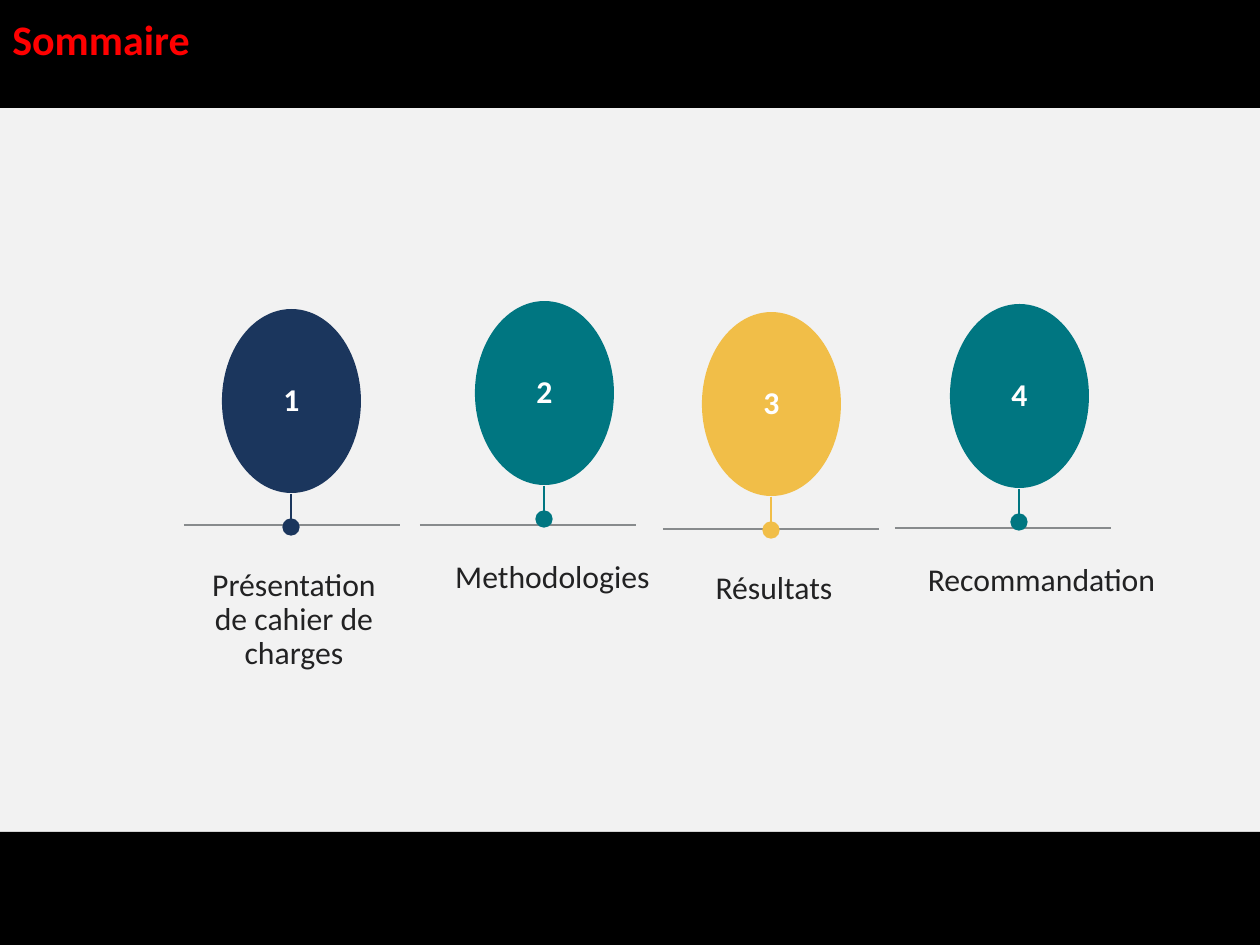
from dataclasses import dataclass

from lxml.etree import SubElement
from pptx import Presentation
from pptx.dml.color import RGBColor
from pptx.enum.shapes import MSO_CONNECTOR, MSO_SHAPE
from pptx.enum.text import MSO_ANCHOR, MSO_AUTO_SIZE, PP_ALIGN
from pptx.oxml.ns import qn
from pptx.shapes.autoshape import Shape
from pptx.shapes.connector import Connector
from pptx.slide import Slide
from pptx.text.text import TextFrame
from pptx.util import Emu, Pt


@dataclass(frozen=True)
class Theme:
    font: str = "Calibri"
    background: str = "F2F2F2"
    band: str = "000000"
    title: str = "FF0000"
    number: str = "FFFFFF"
    label: str = "222223"
    rule: str = "888B8D"
    navy: str = "1B365D"
    teal: str = "007681"
    gold: str = "F1BE48"
    title_pt: float = 24
    text_pt: float = 18.1
    rule_pt: float = 0.75
    stem_pt: float = 1


@dataclass(frozen=True)
class Step:
    number: int
    label: str
    color: str
    left: int
    top: int
    rule_left: int
    rule_y: int
    label_left: int
    label_width: int


THEME = Theme()
PX_PER_INCH = 126
SLIDE_W, SLIDE_H = 1260, 945
BALLOON_W, BALLOON_H = 139, 184
STEM_H = 33
RULE_W = 216
LABEL_DROP = 260  # from balloon top to label top
LINE_H = 34

STEPS = [
    Step(1, "Présentation de cahier de\ncharges", THEME.navy, 222, 309, 184, 525, 198, 192),
    Step(2, "Methodologies", THEME.teal, 475, 301, 420, 525, 446, 213),
    Step(3, "Résultats", THEME.gold, 702, 312, 663, 529, 677, 194),
    Step(4, "Recommandation", THEME.teal, 950, 304, 895, 528, 925, 233),
]


def px(length: int) -> Emu:
    return Emu(round(length * 914400 / PX_PER_INCH))


def rgb(color: str) -> RGBColor:
    return RGBColor.from_string(color)


def write(frame: TextFrame, text: str, color: str, size: float,
          bold: bool = False, align: PP_ALIGN = PP_ALIGN.CENTER,
          spacing: float = 0.9) -> None:
    frame.word_wrap = True
    frame.text = text
    for paragraph in frame.paragraphs:
        paragraph.alignment = align
        paragraph.line_spacing = spacing
        paragraph.font.name = THEME.font
        paragraph.font.size = Pt(size)
        paragraph.font.bold = bold
        paragraph.font.color.rgb = rgb(color)


def clear_insets(frame: TextFrame) -> None:
    frame.margin_left = frame.margin_right = 0
    frame.margin_top = frame.margin_bottom = 0


def add_filled(slide: Slide, kind: MSO_SHAPE, left: int, top: int,
               width: int, height: int, color: str) -> Shape:
    shape = slide.shapes.add_shape(kind, px(left), px(top), px(width), px(height))
    shape.shadow.inherit = False
    shape.fill.solid()
    shape.fill.fore_color.rgb = rgb(color)
    shape.line.fill.background()
    shape.text_frame.vertical_anchor = MSO_ANCHOR.MIDDLE
    return shape


def add_line(slide: Slide, x1: int, y1: int, x2: int, y2: int,
             color: str, width: float) -> Connector:
    line = slide.shapes.add_connector(
        MSO_CONNECTOR.STRAIGHT, px(x1), px(y1), px(x2), px(y2))
    line.line.color.rgb = rgb(color)
    line.line.width = Pt(width)
    SubElement(line._element.spPr, qn("a:effectLst"))
    return line


def add_step(slide: Slide, step: Step) -> None:
    # Ground rule
    add_line(slide, step.rule_left, step.rule_y, step.rule_left + RULE_W,
             step.rule_y, THEME.rule, THEME.rule_pt)

    # Stem ending in a large dot
    center = step.left + BALLOON_W // 2
    stem_top = step.top + BALLOON_H + 1
    stem = add_line(slide, center, stem_top, center, stem_top + STEM_H,
                    step.color, THEME.stem_pt)
    SubElement(stem.line._get_or_add_ln(), qn("a:tailEnd"),
               type="oval", w="lg", len="lg")

    # Numbered balloon
    balloon = add_filled(slide, MSO_SHAPE.OVAL, step.left, step.top,
                         BALLOON_W, BALLOON_H, step.color)
    clear_insets(balloon.text_frame)
    write(balloon.text_frame, str(step.number), THEME.number, THEME.text_pt, bold=True)

    # Label
    lines = 3 if "\n" in step.label else 1
    label = slide.shapes.add_textbox(px(step.label_left), px(step.top + LABEL_DROP),
                                     px(step.label_width), px(lines * LINE_H))
    clear_insets(label.text_frame)
    label.text_frame.auto_size = MSO_AUTO_SIZE.SHAPE_TO_FIT_TEXT
    write(label.text_frame, step.label, THEME.label, THEME.text_pt)


def main() -> None:
    deck = Presentation()
    deck.slide_width, deck.slide_height = px(SLIDE_W), px(SLIDE_H)
    slide = deck.slides.add_slide(deck.slide_layouts[6])
    slide.background.fill.solid()
    slide.background.fill.fore_color.rgb = rgb(THEME.background)

    for step in STEPS:
        add_step(slide, step)

    # Header and footer bands
    header = add_filled(slide, MSO_SHAPE.RECTANGLE, 0, -30, SLIDE_W, 138, THEME.band)
    write(header.text_frame, "Sommaire", THEME.title, THEME.title_pt,
          bold=True, align=PP_ALIGN.LEFT, spacing=1.0)
    add_filled(slide, MSO_SHAPE.RECTANGLE, 0, 832, SLIDE_W, 117, THEME.band)

    deck.save("out.pptx")


if __name__ == "__main__":
    main()
